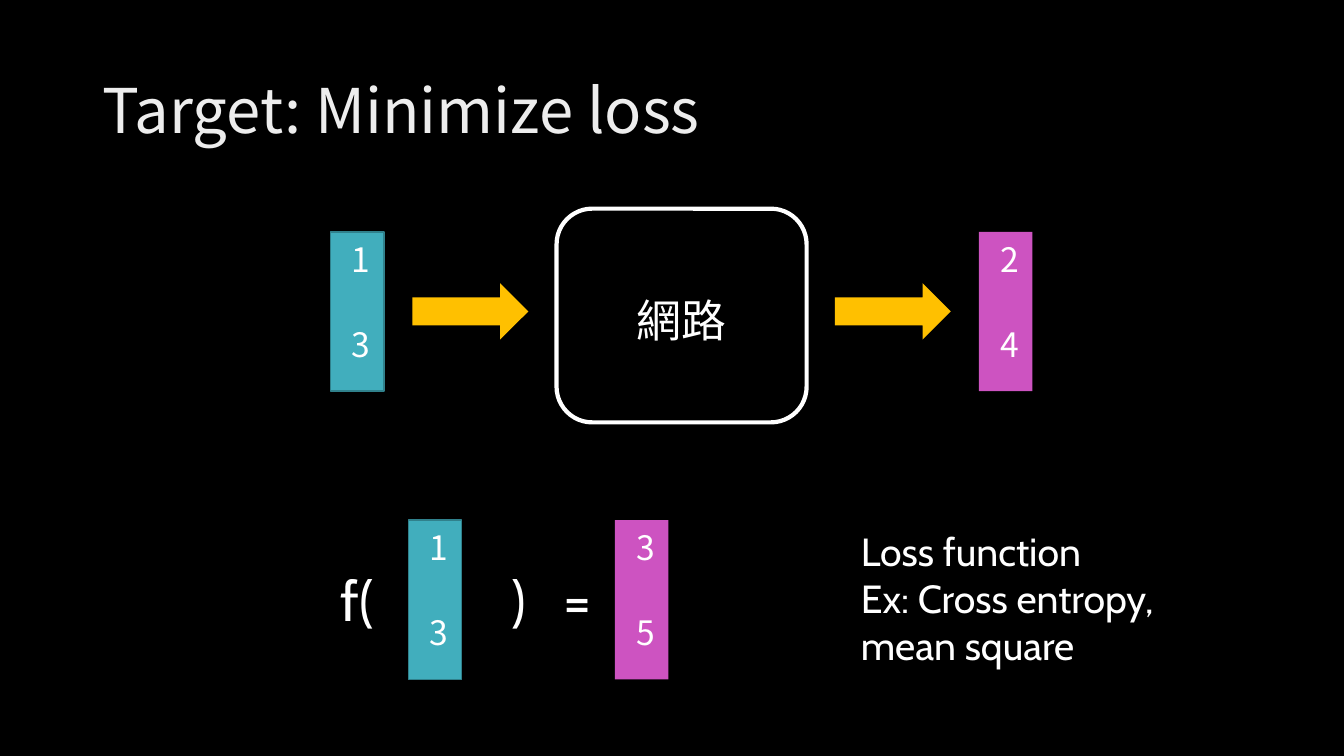
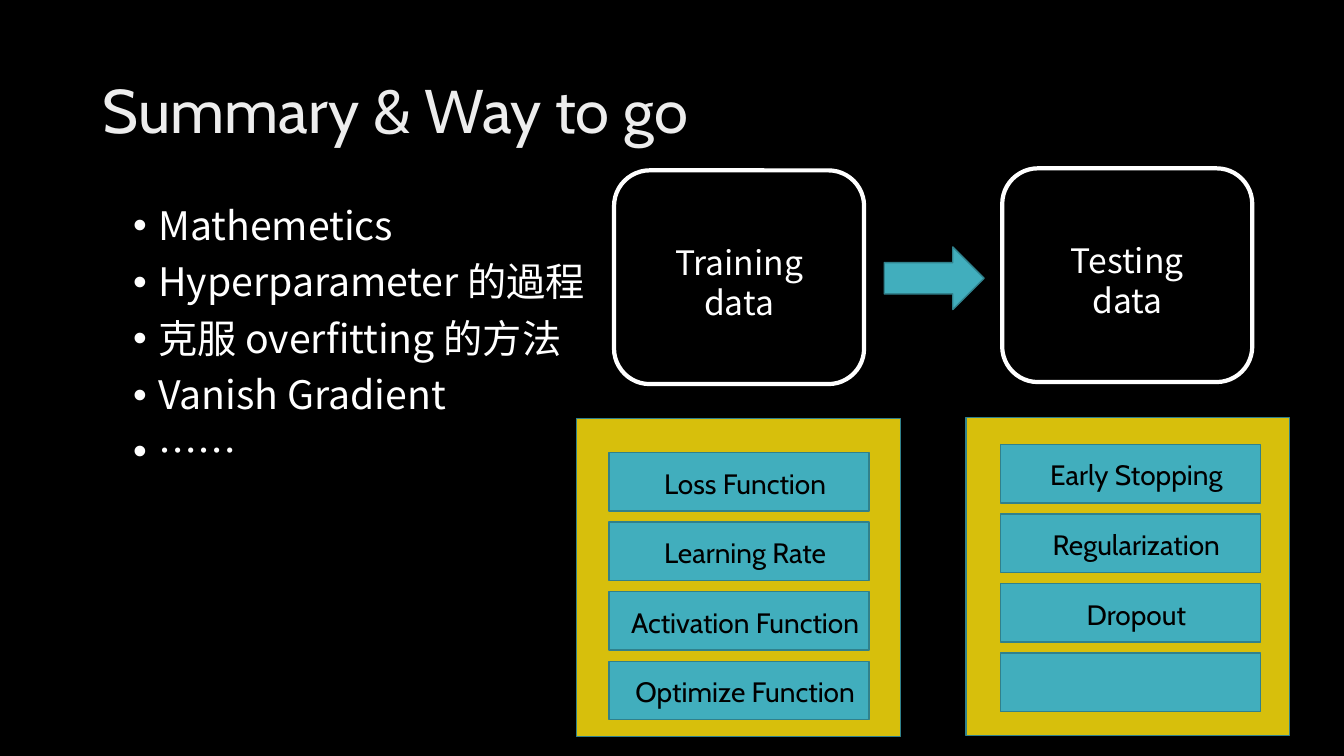
from dataclasses import dataclass

import lxml.etree
import pptx
import pptx.dml.color
import pptx.enum.shapes
import pptx.enum.text
import pptx.oxml.ns
import pptx.util

EMU_PER_PX = 9144
SANS = "Cabin"
CJK = "Noto Sans CJK TC"
BLACK, WHITE, SILVER = "000000", "FFFFFF", "EDEDED"
TEAL, DARK_TEAL, PINK = "41AEBD", "30818C", "CD53C1"
AMBER, MUSTARD = "FFC000", "D7BF0C"

Kind = pptx.enum.shapes.MSO_SHAPE
Align = pptx.enum.text.PP_ALIGN
Anchor = pptx.enum.text.MSO_ANCHOR


@dataclass(frozen=True)
class Box:
    left: int
    top: int
    width: int
    height: int


@dataclass(frozen=True)
class Look:
    fill: str = ""
    line: str = ""
    weight: int = 1


@dataclass(frozen=True)
class Type:
    size: int
    font: str = CJK
    color: str = WHITE
    align: Align = Align.LEFT
    spacing: float = 1.0
    before: int = 0


@dataclass(frozen=True)
class Vector:
    left: int
    top: int
    look: Look
    values: tuple[str, str]


@dataclass(frozen=True)
class Stage:
    left: int
    top: int
    label: str
    size: int = 24


@dataclass(frozen=True)
class Panel:
    left: int
    top: int
    bars_left: int
    bars_top: int
    labels: tuple[str, ...]


OUTLINED_TEAL = Look(TEAL, DARK_TEAL)
PLAIN_PINK = Look(PINK)
PLAIN_AMBER = Look(AMBER)
WHITE_FRAME = Look(line=WHITE, weight=3)
PANEL_LOOK = Look(MUSTARD, DARK_TEAL)

TITLE_BOX = Box(92, 40, 1150, 145)
LIST_BOX = Box(122, 200, 1119, 476)
LIST_TYPE = Type(28, spacing=0.9, before=10)
DIGIT_TYPE = Type(24, before=32)
FORMULA_TYPE = Type(40, SANS)
LOSS_TYPE = Type(28, SANS)
BAR_TYPE = Type(20, SANS, BLACK, Align.CENTER)
BAR_STEP = 69

VECTORS = (
    Vector(328, 230, OUTLINED_TEAL, ("1", "3")),
    Vector(971, 230, PLAIN_PINK, ("2", "4")),
    Vector(405, 516, OUTLINED_TEAL, ("1", "3")),
    Vector(610, 516, PLAIN_PINK, ("3", "5")),
)
FORMULA = (("f(", 328), (")", 498), ("=", 549))
TOPICS = (
    "Mathemetics",
    "Hyperparameter 的過程",
    "克服 overfitting 的方法",
    "Vanish Gradient",
    "……",
)
PANELS = (
    Panel(572, 415, 604, 449,
          ("Loss Function", "Learning Rate", "Activation Function", "Optimize Function")),
    Panel(958, 414, 992, 441,
          ("Early Stopping", "Regularization", "Dropout", "")),
)


def px(length: int) -> pptx.util.Emu:
    return pptx.util.Emu(length * EMU_PER_PX)


def rgb(code: str) -> pptx.dml.color.RGBColor:
    return pptx.dml.color.RGBColor.from_string(code)


def extent(box: Box) -> tuple:
    return px(box.left), px(box.top), px(box.width), px(box.height)


def write(frame, lines: tuple[str, ...], style: Type) -> None:
    frame.word_wrap = True
    for index, line in enumerate(lines):
        paragraph = frame.add_paragraph() if index else frame.paragraphs[0]
        paragraph.alignment = style.align
        paragraph.line_spacing = style.spacing
        paragraph.space_before = pptx.util.Pt(style.before if index else 0)
        run = paragraph.add_run()
        run.text = line
        run.font.size = pptx.util.Pt(style.size)
        run.font.name = style.font
        run.font.color.rgb = rgb(style.color)
        latin = run.font._element.find(pptx.oxml.ns.qn("a:latin"))
        east_asian = lxml.etree.Element(pptx.oxml.ns.qn("a:ea"), typeface=style.font)
        latin.addnext(east_asian)


def set_margins(frame, left: int, top: int, right: int, bottom: int) -> None:
    frame.margin_left, frame.margin_top = px(left), px(top)
    frame.margin_right, frame.margin_bottom = px(right), px(bottom)


def add_block(slide, kind: Kind, box: Box, look: Look):
    block = slide.shapes.add_shape(kind, *extent(box))
    block.shadow.inherit = False
    if look.fill:
        block.fill.solid()
        block.fill.fore_color.rgb = rgb(look.fill)
    else:
        block.fill.background()
    if look.line:
        block.line.color.rgb = rgb(look.line)
        block.line.width = pptx.util.Pt(look.weight)
    else:
        block.line.fill.background()
    return block


def add_text(slide, box: Box, lines: tuple[str, ...], style: Type) -> None:
    write(slide.shapes.add_textbox(*extent(box)).text_frame, lines, style)


def place(placeholder, box: Box, anchor: Anchor):
    placeholder.left, placeholder.top, placeholder.width, placeholder.height = extent(box)
    frame = placeholder.text_frame
    frame.auto_size = pptx.enum.text.MSO_AUTO_SIZE.NONE
    frame.vertical_anchor = anchor
    return frame


def add_titled_slide(deck, layout: int, title: str, font: str):
    slide = deck.slides.add_slide(deck.slide_layouts[layout])
    heading = place(slide.shapes.title, TITLE_BOX, Anchor.MIDDLE)
    write(heading, (title,), Type(44, font, SILVER, spacing=0.9))
    return slide


def add_topics(slide) -> None:
    frame = place(slide.placeholders[1], LIST_BOX, Anchor.TOP)
    write(frame, TOPICS, LIST_TYPE)
    for paragraph in frame.paragraphs:
        properties = paragraph._p.get_or_add_pPr()
        properties.set("marL", str(px(25)))
        properties.set("indent", str(-px(25)))
        lxml.etree.SubElement(properties, pptx.oxml.ns.qn("a:buChar"), char="•")


def add_vector(slide, vector: Vector) -> None:
    column = add_block(slide, Kind.RECTANGLE, Box(vector.left, vector.top, 53, 158), vector.look)
    column.text_frame.vertical_anchor = Anchor.TOP
    set_margins(column.text_frame, 21, 7, 0, 0)
    write(column.text_frame, vector.values, DIGIT_TYPE)


def add_stage(slide, stage: Stage) -> None:
    frame = add_block(slide, Kind.ROUNDED_RECTANGLE,
                      Box(stage.left, stage.top, 248, 212), WHITE_FRAME).text_frame
    frame.vertical_anchor = Anchor.MIDDLE
    set_margins(frame, 38, 9, 38, 0)
    write(frame, (stage.label,), Type(stage.size, align=Align.CENTER))


def add_panel(slide, panel: Panel) -> None:
    add_block(slide, Kind.RECTANGLE, Box(panel.left, panel.top, 321, 316), PANEL_LOOK)
    for row, label in enumerate(panel.labels):
        box = Box(panel.bars_left, panel.bars_top + row * BAR_STEP, 258, 58)
        bar = add_block(slide, Kind.RECTANGLE, box, OUTLINED_TEAL)
        if label:
            bar.text_frame.vertical_anchor = Anchor.MIDDLE
            set_margins(bar.text_frame, 12, 2, 0, 0)
            write(bar.text_frame, (label,), BAR_TYPE)


def build_loss_slide(deck) -> None:
    slide = add_titled_slide(deck, 5, "Target: Minimize loss", CJK)
    add_stage(slide, Stage(552, 207, "網路", 32))
    for left in (409, 828):
        add_block(slide, Kind.RIGHT_ARROW, Box(left, 281, 115, 56), PLAIN_AMBER)
    for vector in VECTORS:
        add_vector(slide, vector)
    for symbol, left in FORMULA:
        add_text(slide, Box(left, 556, 60, 77), (symbol,), FORMULA_TYPE)
    add_text(slide, Box(844, 518, 324, 151),
             ("Loss function", "Ex: Cross entropy, mean square"), LOSS_TYPE)


def build_summary_slide(deck) -> None:
    slide = add_titled_slide(deck, 1, "Summary & Way to go", SANS)
    add_topics(slide)
    add_stage(slide, Stage(609, 169, "Training data"))
    add_stage(slide, Stage(994, 167, "Testing data"))
    add_block(slide, Kind.RIGHT_ARROW, Box(877, 245, 99, 62), OUTLINED_TEAL)
    for panel in PANELS:
        add_panel(slide, panel)


def main() -> None:
    deck = pptx.Presentation()
    deck.slide_width, deck.slide_height = px(1333), px(750)
    backdrop = deck.slide_master.background.fill
    backdrop.solid()
    backdrop.fore_color.rgb = rgb(BLACK)
    build_loss_slide(deck)
    build_summary_slide(deck)
    deck.save("out.pptx")


if __name__ == "__main__":
    main()
